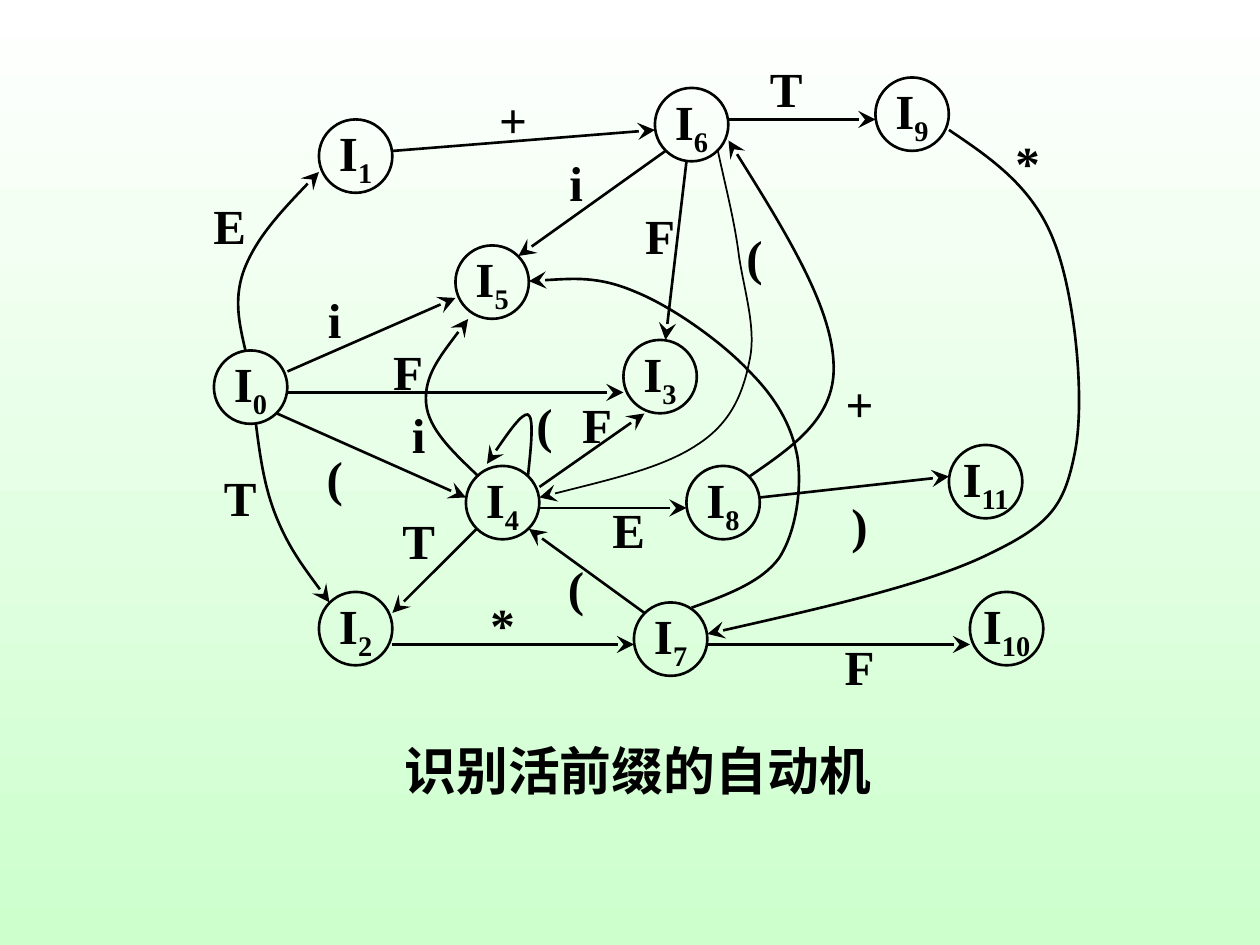
import pptx
import pptx.dml.color
import pptx.enum.shapes
import pptx.enum.text
import pptx.oxml.ns
import pptx.util
from lxml import etree

Cm, Pt = pptx.util.Cm, pptx.util.Pt
qn = pptx.oxml.ns.qn
BLACK = pptx.dml.color.RGBColor(0x00, 0x00, 0x00)
WHITE = pptx.dml.color.RGBColor(0xFF, 0xFF, 0xFF)
PALE_GREEN = pptx.dml.color.RGBColor(0xCC, 0xFF, 0xCC)
FONT = "Times New Roman"

# The diagram lies on a grid of twelve cells to 2.54 cm
CELL = Cm(2.54) / 12
OFFSET = Cm(0.08)
DIAMETER = Cm(1.48)


def write(sp, *runs):
    """Centre the runs in the shape; every run after the first is a subscript."""
    tf = sp.text_frame
    tf.word_wrap = False
    tf.vertical_anchor = pptx.enum.text.MSO_ANCHOR.MIDDLE
    p = tf.paragraphs[0]
    p.alignment = pptx.enum.text.PP_ALIGN.CENTER
    for i, text in enumerate(runs):
        r = p.add_run()
        r.text = text
        r.font.name, r.font.size, r.font.bold = FONT, Pt(28), True
        r.font.color.rgb = BLACK
        if i:
            r._r.get_or_add_rPr().set("baseline", "-25000")


def draw_arrow(sp, width):
    """Give a connector or open curve a black line with a stealth arrowhead."""
    sp.line.color.rgb = BLACK
    sp.line.width = Pt(width)
    etree.SubElement(sp.line._ln, qn("a:tailEnd"), type="stealth", w="lg", len="lg")


prs = pptx.Presentation()
prs.slide_width, prs.slide_height = Cm(25.4), Cm(19.05)
s = prs.slides.add_slide(prs.slide_layouts[1])
s.shapes.title._element.getparent().remove(s.shapes.title._element)

fill = s.background.fill
fill.gradient()
fill.gradient_angle = 270
for stop, color in zip(fill.gradient_stops, (WHITE, PALE_GREEN)):
    stop.color.rgb = color

# Caption
body = s.placeholders[1]
body.left, body.top, body.width, body.height = Cm(7.9), Cm(15.11), Cm(10.8), Cm(1.27)
tf = body.text_frame
tf.auto_size = pptx.enum.text.MSO_AUTO_SIZE.NONE
p = tf.paragraphs[0]
p.line_spacing = 0.7
p.space_before = Pt(8)
pPr = p._p.get_or_add_pPr()
pPr.set("marL", str(Cm(0.95)))
pPr.set("indent", str(-Cm(0.95)))
etree.SubElement(pPr, qn("a:buNone"))
r = p.add_run()
r.text = "识别活前缀的自动机"
r.font.name, r.font.size, r.font.bold = FONT, Pt(29.6), True
r.font.color.rgb = BLACK

# States I0 to I11: left and top in cells
states = [(20, 33), (30, 11), (30, 56), (59, 32), (44, 44), (43, 23),
          (62, 8), (60, 57), (65, 44), (83, 7), (92, 56), (90, 42)]
for number, (x, y) in enumerate(states):
    sp = s.shapes.add_shape(pptx.enum.shapes.MSO_SHAPE.OVAL, round(OFFSET + x * CELL),
                            round(OFFSET + y * CELL), DIAMETER, DIAMETER)
    sp.shadow.inherit = False
    sp.fill.background()
    sp.line.color.rgb = BLACK
    sp.line.width = Pt(1.5)
    write(sp, "I", str(number))

# Straight transitions: from x, y to x, y
straight = [
    (27, 35, 43, 28), (27, 37, 59, 37), (26, 39, 44, 47), (45, 50, 37, 58),
    (61, 58, 50, 50), (37, 61, 60, 61), (67, 61, 92, 61), (37, 14, 62, 12),
    (69, 11, 83, 11), (51, 46, 61, 39), (51, 48, 65, 48), (63, 14, 49, 24),
    (65, 15, 63, 32), (72, 47, 90, 45),
]
for ends in straight:
    sp = s.shapes.add_connector(pptx.enum.shapes.MSO_CONNECTOR.STRAIGHT,
                                *(round(OFFSET + v * CELL) for v in ends))
    draw_arrow(sp, 1.5)
    etree.SubElement(sp._element.spPr, qn("a:effectLst"))

# Curved transitions: line width, then start point and three Bézier points a segment
curves = [
    (1.5, [(23, 33), (22.4, 30.4), (21.8, 27.9), (23, 25),
           (24.2, 22.1), (27.1, 19), (30, 16)]),
    (1.5, [(24, 40), (24.4, 43.1), (24.8, 46.1), (26, 49),
           (27.2, 51.9), (29.1, 54.4), (31, 57)]),
    (1.5, [(45.2, 45), (42.8, 42.7), (40.4, 40.5), (40.2, 38),
           (40, 35.4), (42.1, 32.8), (44.2, 30)]),
    (1.5, [(49.9, 45), (50.2, 42.1), (50.5, 39.4), (49.9, 39.1),
           (49.3, 39), (47.6, 41.4), (46, 43.8)]),
    (1.5, [(65.5, 57.5), (68.8, 56.3), (72.1, 55.1), (73.8, 52.8),
           (75.4, 50.4), (76, 46.3), (75.6, 43.3),
           (75.1, 40.3), (73.6, 37.6), (71, 35),
           (68.4, 32.2), (63.6, 28.8), (60.1, 27.4),
           (56.6, 25.9), (53.2, 26.2), (50, 26.4)]),
    (1.5, [(71, 45), (75.2, 42.1), (79.4, 39.3), (79, 34),
           (78.7, 28.6), (73.9, 20.8), (69, 13)]),
    (1.5, [(90, 12), (94, 14.7), (98, 17.4), (100, 22.6),
           (102, 27.6), (103, 37.7), (102, 42.7),
           (101, 47.7), (99.8, 49.5), (94, 52.3),
           (88.2, 55.2), (77.6, 57.6), (67, 60)]),
    (1, [(68, 14), (68.7, 17.3), (69.6, 20.7), (70, 24),
         (70.5, 27.3), (71.7, 31), (71, 34),
         (70.4, 37), (69.3, 39.9), (66, 42),
         (62.7, 44.2), (56.8, 45.5), (51, 47)]),
]
for width, points in curves:
    (x, y), *rest = [(round(OFFSET + x * CELL), round(OFFSET + y * CELL)) for x, y in points]
    builder = s.shapes.build_freeform(x, y)
    builder.add_line_segments(rest, close=False)
    sp = builder.convert_to_shape()
    sp.shadow.inherit = False
    sp.fill.background()
    draw_arrow(sp, width)
    # Each three line segments become one Bézier segment
    outline = next(sp._element.iter(qn("a:path")))
    segments = outline.findall(qn("a:lnTo"))
    for i in range(0, len(segments), 3):
        bezier = etree.SubElement(outline, qn("a:cubicBezTo"))
        for segment in segments[i:i + 3]:
            bezier.append(segment[0])
            outline.remove(segment)

# Transition symbols: left, top and height in cells
labels = [
    ("E", 18, 18, 6), ("+", 45, 8, 6), ("T", 71, 5, 6), ("*", 94, 12, 6),
    ("T", 19, 44, 6), ("T", 36, 48, 6), ("i", 28, 27, 6), ("F", 35, 32, 6),
    ("(", 28, 42, 6), ("i", 36, 38, 6), ("(", 48, 37, 6), ("F", 53, 37, 6),
    ("E", 56, 47, 6), ("(", 68, 21, 6), ("F", 59, 19, 6), ("i", 51, 14, 6),
    ("+", 78, 35, 6), ("F", 78, 60, 6), ("*", 44, 57, 4), ("(", 51, 53, 5),
    (")", 78, 47, 5),
]
for symbol, x, y, height in labels:
    sp = s.shapes.add_textbox(round(OFFSET + x * CELL), round(OFFSET + y * CELL),
                              DIAMETER, round(height * CELL))
    write(sp, symbol)

prs.save("out.pptx")
